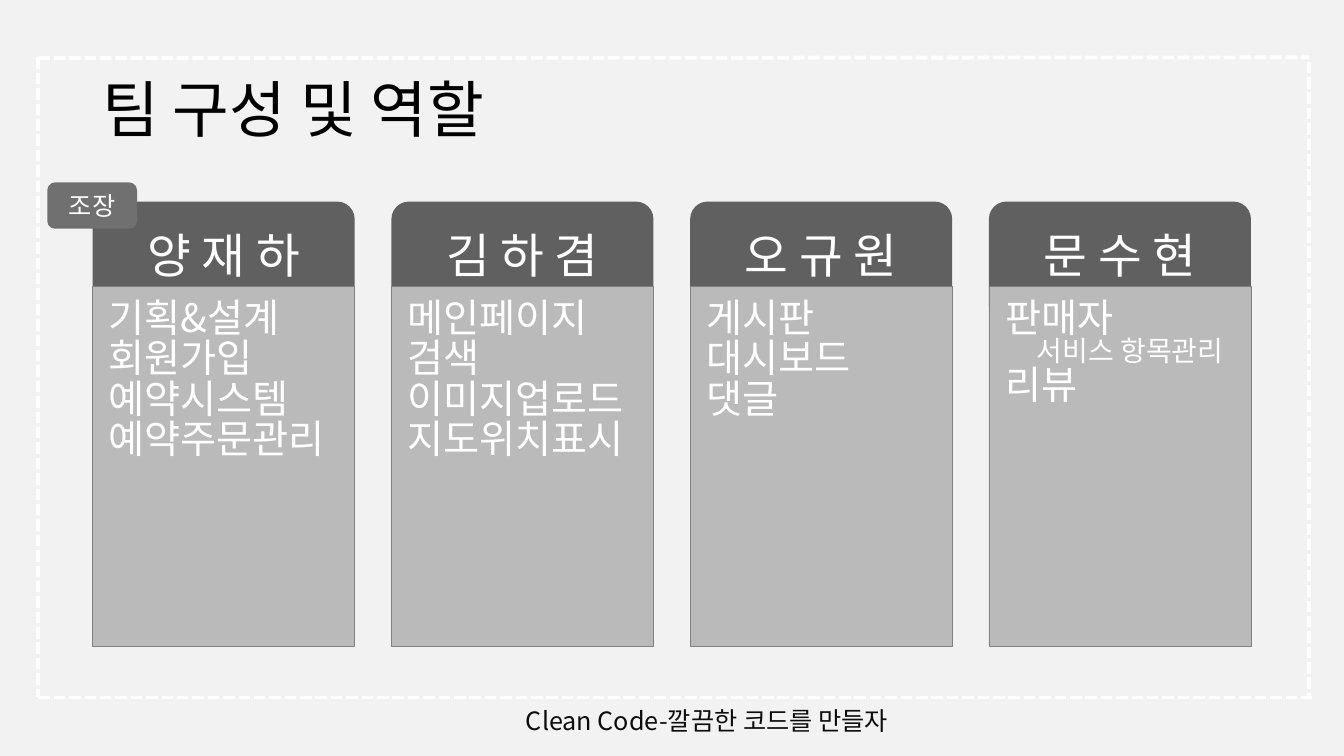
from lxml import etree
from pptx import Presentation
from pptx.dml.color import RGBColor
from pptx.enum import dml, shapes, text
from pptx.oxml import ns
from pptx.util import Pt

FONT = "Noto Sans CJK KR"
BACKGROUND = RGBColor(0xF2, 0xF2, 0xF2)
WHITE = RGBColor(0xFF, 0xFF, 0xFF)
BLACK = RGBColor(0, 0, 0)
FOOTER_INK = RGBColor(0x0D, 0x0D, 0x0D)
HEADER_GRAY = RGBColor(0x60, 0x60, 0x60)
BADGE_GRAY = RGBColor(0x70, 0x70, 0x70)
CARD_GRAY = RGBColor(0xBA, 0xBA, 0xBA)
CARD_EDGE = RGBColor(0x80, 0x80, 0x80)

# Card grid
CARD_LEFT, CARD_PITCH, CARD_WIDTH = 66.2, 213.4, 187.2
HEADER_TOP, HEADER_HEIGHT = 144, 74.9
LIST_TOP, LIST_HEIGHT = 204.5, 257

TEAM = [
    ("양 재 하", ["기획&설계", "회원가입", "예약시스템", "예약주문관리"]),
    ("김 하 겸", ["메인페이지", "검색", "이미지업로드", "지도위치표시"]),
    ("오 규 원", ["게시판", "대시보드", "댓글"]),
    ("문 수 현", ["판매자 \v서비스 항목관리", "리뷰"]),
]


def place(box, left, top, width, height):
    box.left, box.top = Pt(left), Pt(top)
    box.width, box.height = Pt(width), Pt(height)


def set_insets(frame, left, top, right, bottom):
    frame.margin_left, frame.margin_top = Pt(left), Pt(top)
    frame.margin_right, frame.margin_bottom = Pt(right), Pt(bottom)


def format_span(span, size, color):
    span.font.name = FONT
    span.font.size = Pt(size)
    span.font.bold = False
    span.font.color.rgb = color
    east_asian = etree.SubElement(span.font._element, ns.qn("a:ea"))
    east_asian.set("typeface", FONT)


def write(box, words, size, color, align=text.PP_ALIGN.LEFT,
          anchor=text.MSO_ANCHOR.MIDDLE, spacing=0.85):
    frame = box.text_frame
    frame.text = words
    frame.word_wrap = True
    frame.auto_size = text.MSO_AUTO_SIZE.NONE
    frame.vertical_anchor = anchor
    para = frame.paragraphs[0]
    para.alignment = align
    para.line_spacing = spacing
    format_span(para.runs[0], size, color)


def add_label(page, kind, fill, bounds, words, size, spacing=0.85):
    box = page.shapes.add_shape(kind, *map(Pt, bounds))
    box.shadow.inherit = False
    box.fill.solid()
    box.fill.fore_color.rgb = fill
    box.line.fill.background()
    write(box, words, size, WHITE, text.PP_ALIGN.CENTER, spacing=spacing)
    return box


def fill_list(box, left, tasks):
    place(box, left, LIST_TOP, CARD_WIDTH, LIST_HEIGHT)
    box.fill.solid()
    box.fill.fore_color.rgb = CARD_GRAY
    box.line.color.rgb = CARD_EDGE
    box.line.width = Pt(0.5)
    frame = box.text_frame
    frame.text = "\n".join(tasks)
    frame.word_wrap = True
    frame.auto_size = text.MSO_AUTO_SIZE.NONE
    frame.vertical_anchor = text.MSO_ANCHOR.TOP
    set_insets(frame, 11.5, 11.5, 15.8, 17.3)
    for para in frame.paragraphs:
        para.line_spacing = 0.8
        para.space_before = Pt(0)
        para.space_after = Pt(2)
        properties = para._p.get_or_add_pPr()
        properties.set("marL", str(Pt(22.5)))
        properties.set("indent", str(Pt(-22.5)))
        etree.SubElement(properties, ns.qn("a:buNone"))
        for order, span in enumerate(para.runs):
            format_span(span, 20 if order else 28, WHITE)


def add_card(page, box, left, name, tasks):
    header = add_label(page, shapes.MSO_SHAPE.ROUND_2_SAME_RECTANGLE, HEADER_GRAY,
                       (left, HEADER_TOP, CARD_WIDTH, HEADER_HEIGHT), name, 34)
    set_insets(header.text_frame, 22, 14.4, 22, 10.8)
    fill_list(box, left, tasks)
    # The list overlaps the lower edge of its header
    header.element.addnext(box.element)


def add_dashed_line(page, *ends):
    line = page.shapes.add_connector(shapes.MSO_CONNECTOR.STRAIGHT, *map(Pt, ends))
    line.line.color.rgb = WHITE
    line.line.width = Pt(2.75)
    line.line.dash_style = dml.MSO_LINE.SQUARE_DOT
    etree.SubElement(line.element.spPr, ns.qn("a:effectLst"))


def main():
    deck = Presentation()
    deck.slide_width, deck.slide_height = Pt(960), Pt(540)
    page = deck.slides.add_slide(deck.slide_layouts.get_by_name("Comparison"))
    page.background.fill.solid()
    page.background.fill.fore_color.rgb = BACKGROUND

    # Title
    title, *lists = page.placeholders
    place(title, 66, 28.8, 828, 104.4)
    write(title, "팀 구성 및 역할", 44, BLACK)

    # Team cards
    for index, (box, (name, tasks)) in enumerate(zip(lists, TEAM)):
        add_card(page, box, CARD_LEFT + index * CARD_PITCH, name, tasks)

    # Dashed frame
    add_dashed_line(page, 27.4, 41.5, 935.3, 41)
    add_dashed_line(page, 27.4, 498.2, 939.6, 498.2)
    add_dashed_line(page, 27.4, 41, 27.4, 498.2)
    add_dashed_line(page, 935.3, 44, 935.3, 498.2)

    # Footer and leader badge
    footer = page.shapes.add_textbox(Pt(368.6), Pt(503.3), Pt(480), Pt(29))
    write(footer, "Clean Code-깔끔한 코드를 만들자", 18, FOOTER_INK,
          anchor=text.MSO_ANCHOR.TOP)
    add_label(page, shapes.MSO_SHAPE.ROUNDED_RECTANGLE, BADGE_GRAY,
              (33.8, 130.3, 64.1, 33.1), "조장", 18, 1.0)

    deck.save("out.pptx")


if __name__ == "__main__":
    main()
